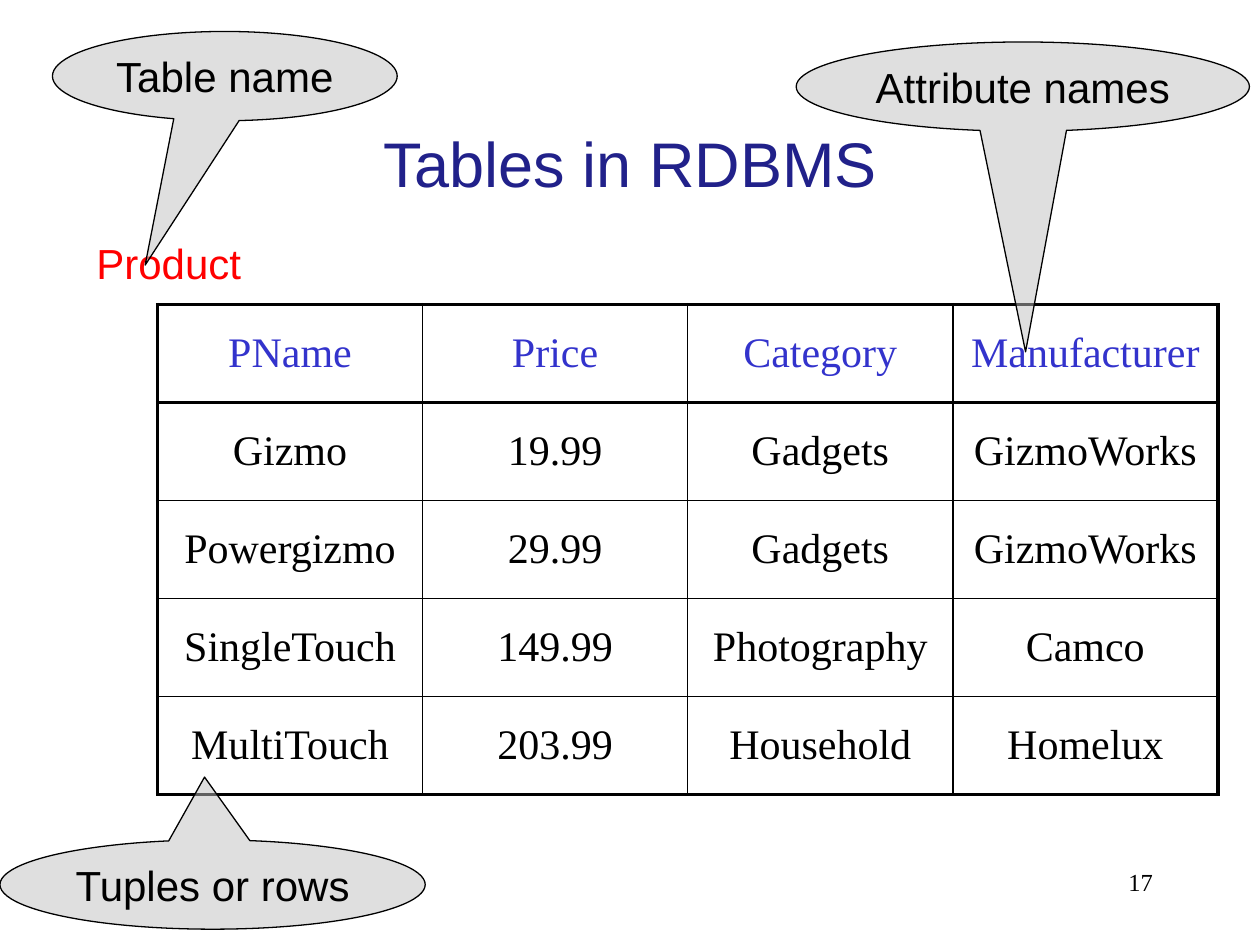
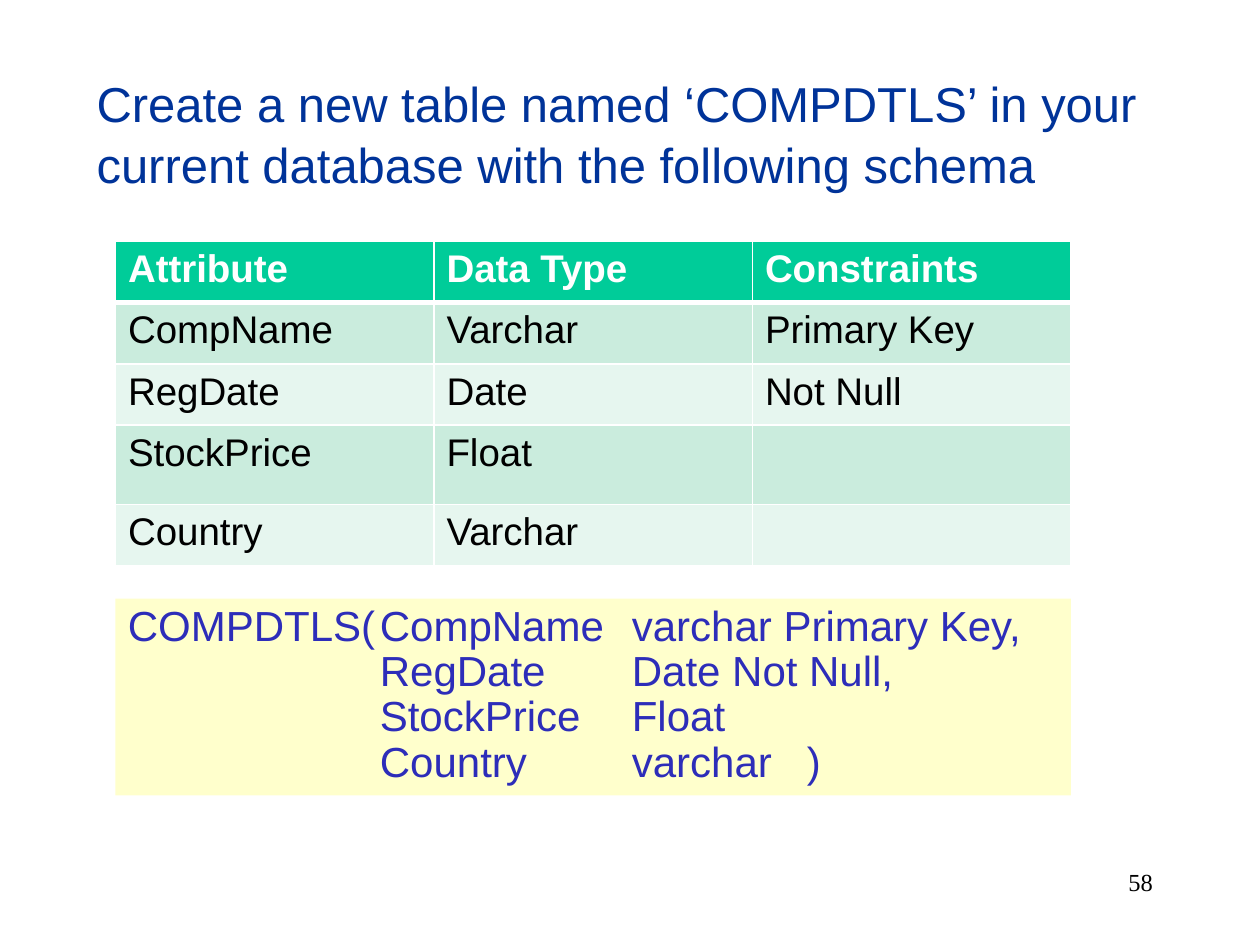
from dataclasses import dataclass

from lxml.etree import SubElement
from pptx import Presentation
from pptx.dml.color import RGBColor
from pptx.enum.shapes import MSO_SHAPE as Shape
from pptx.enum.text import MSO_ANCHOR as Anchor, MSO_AUTO_SIZE as AutoSize, PP_ALIGN as Align
from pptx.oxml.ns import qn
from pptx.util import Pt


@dataclass(frozen=True)
class Theme:
    sans: str = "Arial"
    serif: str = "Times New Roman"
    black: str = "000000"
    white: str = "FFFFFF"
    title: str = "21218A"
    task: str = "003399"
    relation: str = "FF0000"
    attribute: str = "3333CC"
    code: str = "2D2DB9"
    code_back: str = "FFFFCC"
    callout: str = "C0C0C0"
    header: str = "00CC99"
    band_dark: str = "CAECDD"
    band_light: str = "E6F6EF"
    title_size: int = 36
    task_size: int = 28
    body_size: int = 24
    schema_size: int = 22
    page_size: int = 14


theme = Theme()
PX = 6350


def write(frame, text, size=theme.body_size, color=theme.black, font=theme.sans,
          bold=False, align=Align.LEFT, anchor=None, wrap=None, spacing=None, tabs=()):
    if anchor is not None:
        frame.vertical_anchor = anchor
    if wrap is not None:
        frame.auto_size = AutoSize.NONE
        frame.word_wrap = wrap
    for index, line in enumerate(text.split("\n")):
        paragraph = frame.add_paragraph() if index else frame.paragraphs[0]
        paragraph.alignment = align
        if spacing:
            paragraph.line_spacing = spacing
        if tabs:
            stops = SubElement(paragraph._p.get_or_add_pPr(), qn("a:tabLst"))
            for stop in tabs:
                SubElement(stops, qn("a:tab"), pos=str(stop * PX), algn="l")
        if line:
            run = paragraph.add_run()
            run.text = line
            run.font.name = font
            run.font.size = Pt(size)
            run.font.bold = bold
            run.font.color.rgb = RGBColor.from_string(color)


def add_grid(slide, records, left, top, column_width, row_heights, fills, border,
             outer, under_header, header_format, body_format, anchor):
    row_count, column_count = len(records), len(records[0])
    grid = slide.shapes.add_table(row_count, column_count, left * PX, top * PX,
                                  column_width * column_count * PX, sum(row_heights) * PX).table
    grid.first_row = grid.horz_banding = False
    for column in grid.columns:
        column.width = column_width * PX
    for r, record in enumerate(records):
        grid.rows[r].height = row_heights[r] * PX
        for c, value in enumerate(record):
            cell = grid.cell(r, c)
            cell.vertical_anchor = anchor
            write(cell.text_frame, value, **(body_format if r else header_format))
            widths = {
                "a:lnL": outer if c == 0 else 1,
                "a:lnR": outer if c == column_count - 1 else 1,
                "a:lnT": {0: outer, 1: under_header}.get(r, 1),
                "a:lnB": {0: under_header, row_count - 1: outer}.get(r, 1),
            }
            for side, width in widths.items():
                edge = SubElement(cell._tc.get_or_add_tcPr(), qn(side), w=str(Pt(width)))
                SubElement(SubElement(edge, qn("a:solidFill")), qn("a:srgbClr"), val=border)
            if fills:
                cell.fill.solid()
                cell.fill.fore_color.rgb = RGBColor.from_string(fills[r])
            else:
                cell.fill.background()


deck = Presentation()
deck.slide_width, deck.slide_height = 1440 * PX, 1080 * PX
rdbms, schema = [deck.slides.add_slide(deck.slide_layouts[5]) for _ in range(2)]

headings = [
    (rdbms, (108, 96, 1224, 180), "Tables in RDBMS",
     dict(size=theme.title_size, color=theme.title, align=Align.CENTER, anchor=Anchor.MIDDLE)),
    (schema, (96, 73, 1272, 150),
     "Create a new table named ‘COMPDTLS’ in your current database with the following schema",
     dict(size=theme.task_size, color=theme.task, anchor=Anchor.TOP, spacing=1.05)),
]
for slide, area, text, style in headings:
    heading = slide.shapes.title
    heading.left, heading.top, heading.width, heading.height = [n * PX for n in area]
    write(heading.text_frame, text, wrap=True, **style)

products = [
    ("PName", "Price", "Category", "Manufacturer"),
    ("Gizmo", "19.99", "Gadgets", "GizmoWorks"),
    ("Powergizmo", "29.99", "Gadgets", "GizmoWorks"),
    ("SingleTouch", "149.99", "Photography", "Camco"),
    ("MultiTouch", "203.99", "Household", "Homelux"),
]
product_format = dict(font=theme.serif, align=Align.CENTER)
add_grid(rdbms, products, 180, 348, 303, [112] * 5, None, theme.black, 2.25, 2.25,
         dict(product_format, color=theme.attribute), product_format, Anchor.MIDDLE)

relation = rdbms.shapes.add_textbox(*[n * PX for n in (96, 264, 196, 72)])
write(relation.text_frame, "Product", color=theme.relation, wrap=True)

callouts = [
    ("Attribute names", (910, 48, 518, 102), (0.006, 2.972)),
    ("Table name", (60, 36, 394, 102), (-0.231, 2.118)),
    ("Tuples or rows", (0, 960, 486, 102), (-0.019, -1.205)),
]
for text, area, pointer in callouts:
    callout = rdbms.shapes.add_shape(Shape.OVAL_CALLOUT, *[n * PX for n in area])
    callout.shadow.inherit = False
    callout.adjustments[0], callout.adjustments[1] = pointer
    callout.fill.solid()
    callout.fill.fore_color.rgb = RGBColor.from_string(theme.callout)
    tint = callout.element.spPr.find(".//" + qn("a:srgbClr"))
    SubElement(tint, qn("a:alpha"), val="50000")
    callout.line.color.rgb = RGBColor.from_string(theme.black)
    callout.line.width = Pt(0.75)
    write(callout.text_frame, text, align=Align.CENTER, anchor=Anchor.TOP, wrap=False)

attributes = [
    ("Attribute", "Data Type", "Constraints"),
    ("CompName", "Varchar", "Primary Key"),
    ("RegDate", "Date", "Not Null"),
    ("StockPrice", "Float", ""),
    ("Country", "Varchar", ""),
]
add_grid(schema, attributes, 132, 276, 364, [70, 70, 70, 91, 70],
         [theme.header] + [theme.band_dark, theme.band_light] * 2, theme.white, 1, 3,
         dict(size=theme.schema_size, color=theme.white, bold=True),
         dict(size=theme.schema_size), Anchor.TOP)

definition = schema.shapes.add_shape(Shape.RECTANGLE, *[n * PX for n in (132, 684, 1092, 225)])
definition.shadow.inherit = False
definition.fill.solid()
definition.fill.fore_color.rgb = RGBColor.from_string(theme.code_back)
definition.line.fill.background()
write(definition.text_frame,
      "COMPDTLS(\tCompName\tvarchar Primary Key,\n"
      "\tRegDate\tDate Not Null,\n"
      "\tStockPrice\tFloat\n"
      "\tCountry\tvarchar\t)",
      color=theme.code, anchor=Anchor.TOP, wrap=True, spacing=0.9, tabs=(288, 576, 776))

for slide, number in ((rdbms, "17"), (schema, "58")):
    page = slide.shapes.add_textbox(*[n * PX for n in (1032, 984, 300, 72)])
    write(page.text_frame, number, size=theme.page_size, font=theme.serif,
          align=Align.RIGHT, wrap=True)

deck.save("out.pptx")
